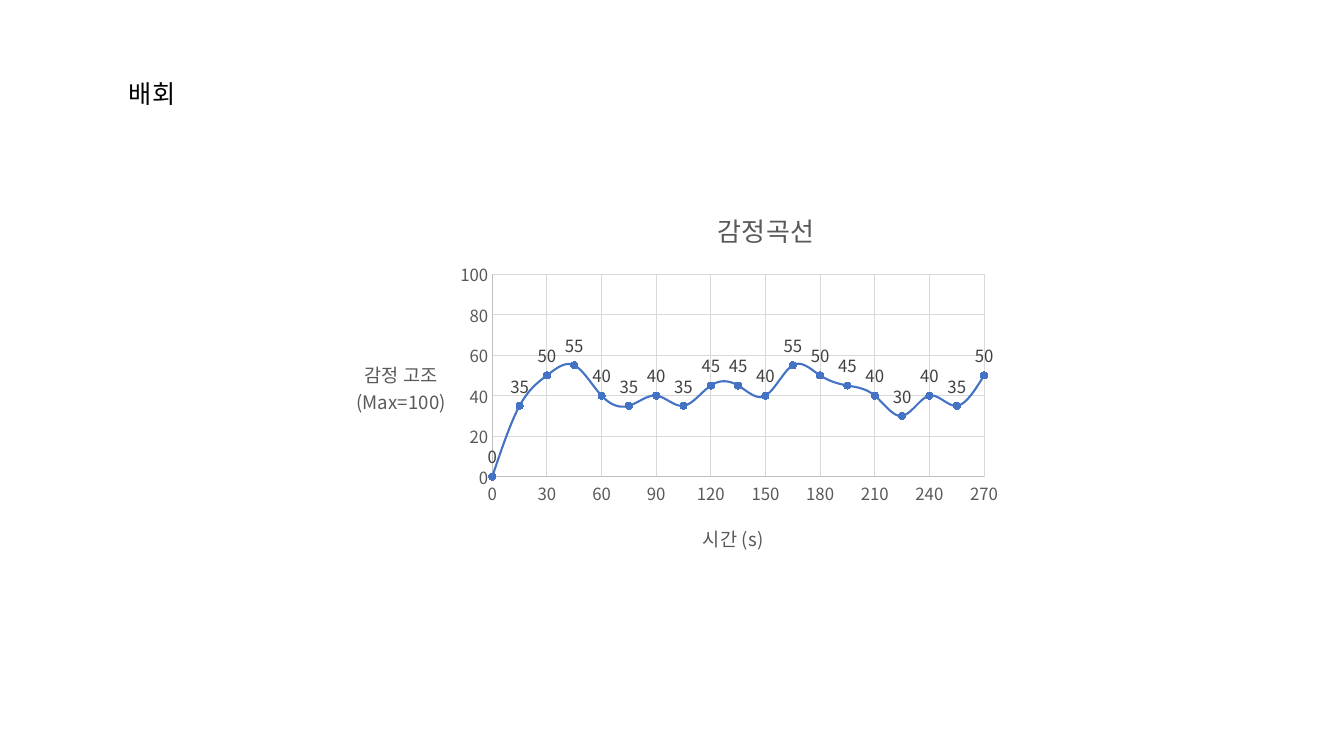
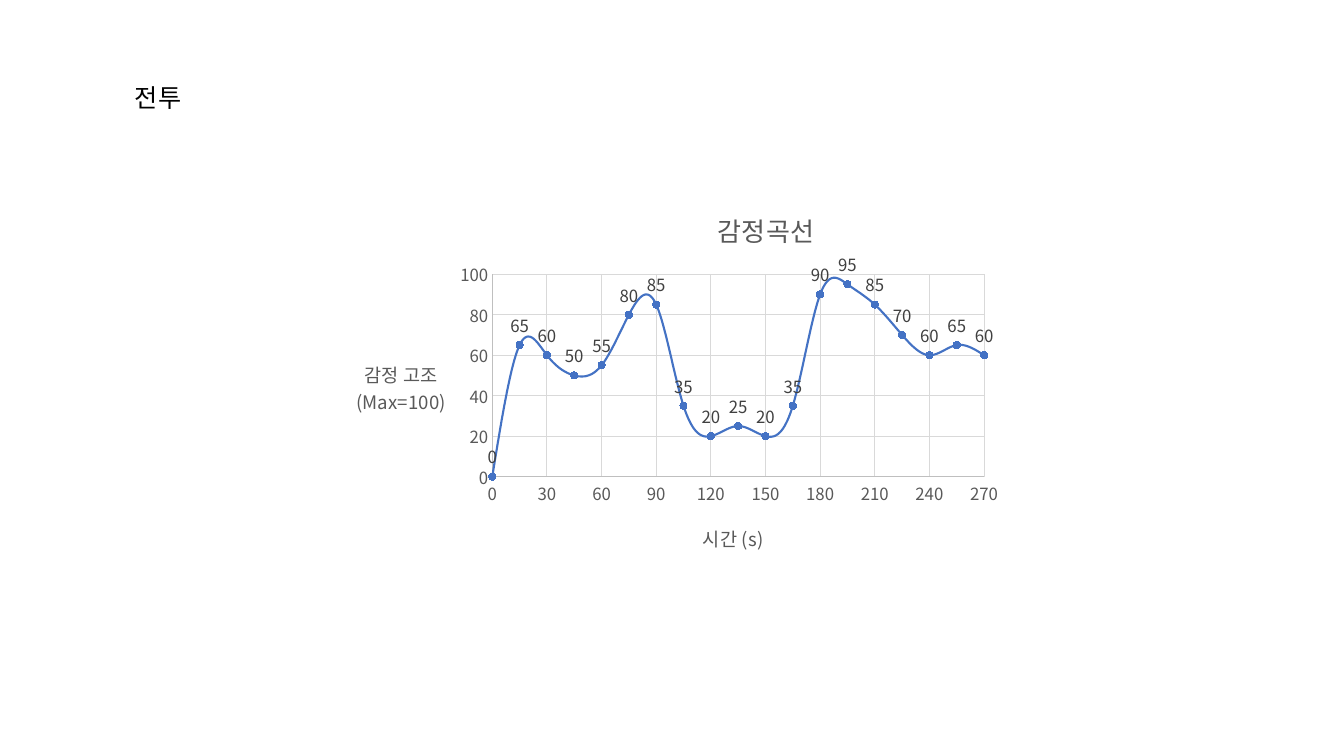
from pptx import Presentation
from pptx import util as u
from pptx.chart import data, datalabel
from pptx.dml.color import RGBColor
from pptx.enum import chart as ce, text
from pptx.oxml import parse_xml
from pptx.oxml.ns import nsdecls, qn

FONT = "Noto Sans CJK KR"
COLORS = {"ink": "000000", "axis_text": "595959", "label": "404040",
          "axis": "BFBFBF", "grid": "D9D9D9", "curve": "4472C4"}
CHART_BOX = (237.6, 134.6, 485.3, 271.4)
STEP = 15  # seconds between readings

# heading, its left and top, emotion readings
SCENES = [
    ("배회", 85, 52.6, [0, 35, 50, 55, 40, 35, 40, 35, 45, 45,
                      40, 55, 50, 45, 40, 30, 40, 35, 50]),
    ("전투", 89.3, 55.4, [0, 65, 60, 50, 55, 80, 85, 35, 20, 25,
                        20, 35, 90, 95, 85, 70, 60, 65, 60]),
]


def rgb(name):
    return RGBColor.from_string(COLORS[name])


def set_font(font, size, color):
    font.size, font.bold = u.Pt(size), False
    font.color.rgb = rgb(color)
    font.name = FONT


def write(frame, content, size=18, color="ink", align=text.PP_ALIGN.LEFT):
    for i, line in enumerate(content.split("\n")):
        paragraph = frame.add_paragraph() if i else frame.paragraphs[0]
        paragraph.alignment = align
        run = paragraph.add_run()
        run.text = line
        set_font(run.font, size, color)


def use_font_for_korean(element):
    for latin in list(element.iter(qn("a:latin"))):
        latin.addnext(parse_xml(f'<a:ea {nsdecls("a")} typeface="{FONT}"/>'))


def set_layout(element, index, target="", **fractions):
    """Place a chart part by fractions of the chart box."""
    for old in element.findall(qn("c:layout")):
        element.remove(old)
    inner = f'<c:layoutTarget val="{target}"/>' if target else ""
    inner += "".join(f'<c:{k}Mode val="edge"/>' for k in "xy")
    inner += "".join(f'<c:{k} val="{v}"/>' for k, v in fractions.items())
    element.insert(index, parse_xml(
        f'<c:layout {nsdecls("c")}><c:manualLayout>{inner}'
        "</c:manualLayout></c:layout>"))


def set_line(line, color, width=0.75):
    line.color.rgb = rgb(color)
    line.width = u.Pt(width)


def chart_title(title, content, size, x, y):
    write(title.text_frame, content, size=size, color="axis_text",
          align=text.PP_ALIGN.CENTER)
    body = title.element.find(".//" + qn("a:bodyPr"))
    body.set("rot", "0")
    body.set("vert", "horz")
    set_layout(title.element, 1, x=x, y=y)


def style_axis(axis, maximum, unit, content, x, y):
    axis.minimum_scale, axis.maximum_scale = 0, maximum
    axis.major_unit = unit
    axis.major_tick_mark = axis.minor_tick_mark = ce.XL_TICK_MARK.NONE
    axis.has_major_gridlines = True
    set_line(axis.major_gridlines.format.line, "grid")
    set_line(axis.format.line, "axis")
    set_font(axis.tick_labels.font, 12, "axis_text")
    chart_title(axis.axis_title, content, 13.3, x, y)


def style_curve(chart):
    curve = chart.plots[0].series[0]
    set_line(curve.format.line, "curve", 1.5)
    curve.marker.style = ce.XL_MARKER_STYLE.CIRCLE
    curve.marker.size = 5
    curve.marker.format.fill.solid()
    curve.marker.format.fill.fore_color.rgb = rgb("curve")
    set_line(curve.marker.format.line, "curve")
    ser = chart.element.find(".//" + qn("c:ser"))
    ser.find(qn("c:smooth")).set("val", "1")
    labels = datalabel.DataLabels(ser.get_or_add_dLbls())
    labels.show_value = True
    labels.position = ce.XL_LABEL_POSITION.ABOVE
    set_font(labels.font, 12, "label")


def emotion_chart(slide, box, readings):
    points = data.XyChartData()
    series = points.add_series("Series 1")
    for i, reading in enumerate(readings):
        series.add_data_point(i * STEP, reading)
    chart = slide.shapes.add_chart(
        ce.XL_CHART_TYPE.XY_SCATTER_SMOOTH, *map(u.Pt, box), points).chart
    chart.has_legend = False
    set_font(chart.font, 10, "ink")
    chart.plots[0].vary_by_categories = False

    # Titles, axes and plot area
    chart.has_title = True
    chart_title(chart.chart_title, "감정곡선", 18.6, 0.56, 0.04)
    style_axis(chart.category_axis, 270, 30, "시간 (s)", 0.54, 0.87)
    style_axis(chart.value_axis, 100, 20, "감정 고조\n(Max=100)", 0.03, 0.44)
    set_layout(chart.element.find(".//" + qn("c:plotArea")), 0, "inner",
               x=0.235, y=0.226, w=0.724, h=0.533)
    style_curve(chart)
    use_font_for_korean(chart.element)


def heading(slide, content, left, top):
    box = slide.shapes.add_textbox(*map(u.Pt, (left, top, 168.5, 28.8)))
    box.text_frame.word_wrap = True
    box.text_frame.auto_size = text.MSO_AUTO_SIZE.SHAPE_TO_FIT_TEXT
    write(box.text_frame, content)
    use_font_for_korean(box.element)


def scene_slide(deck, name, left, top, readings):
    slide = deck.slides.add_slide(deck.slide_layouts[6])
    heading(slide, name, left, top)
    emotion_chart(slide, CHART_BOX, readings)


def main():
    deck = Presentation()
    deck.slide_width, deck.slide_height = u.Pt(960), u.Pt(540)
    for scene in SCENES:
        scene_slide(deck, *scene)
    deck.save("out.pptx")


if __name__ == "__main__":
    main()
